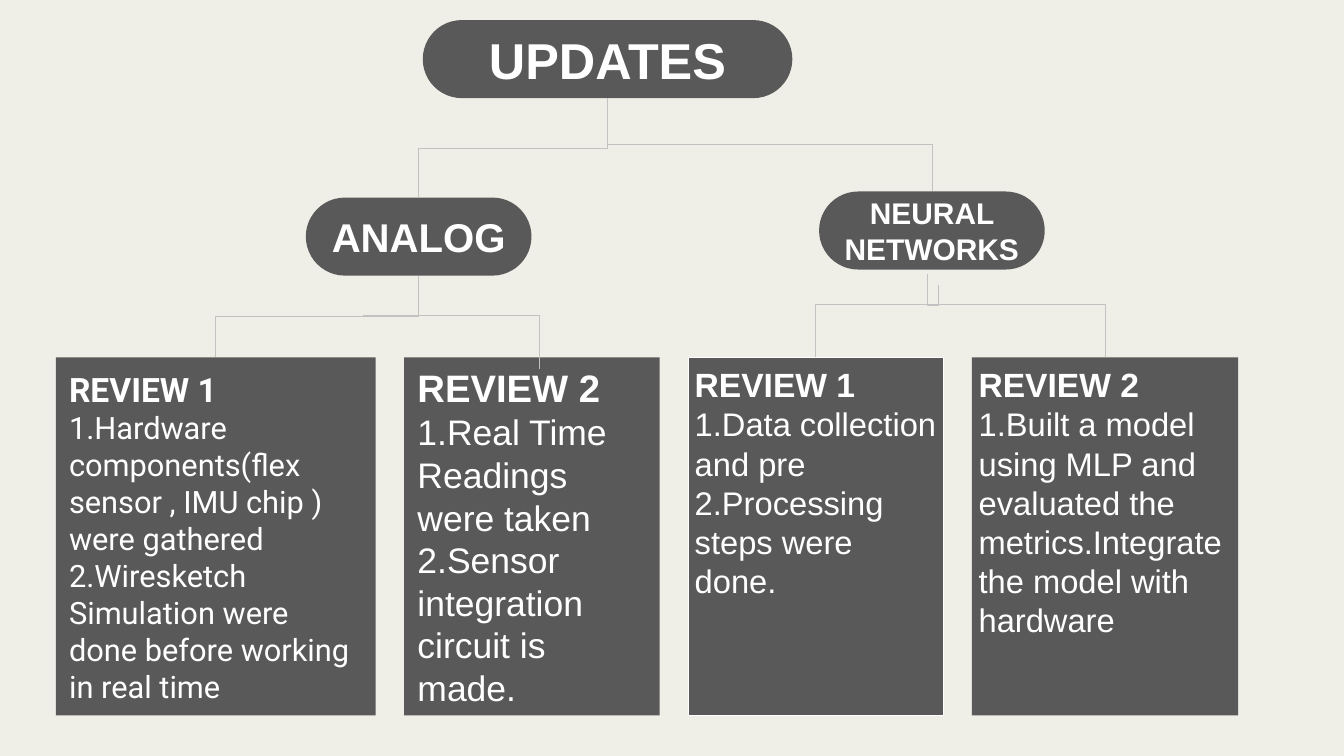
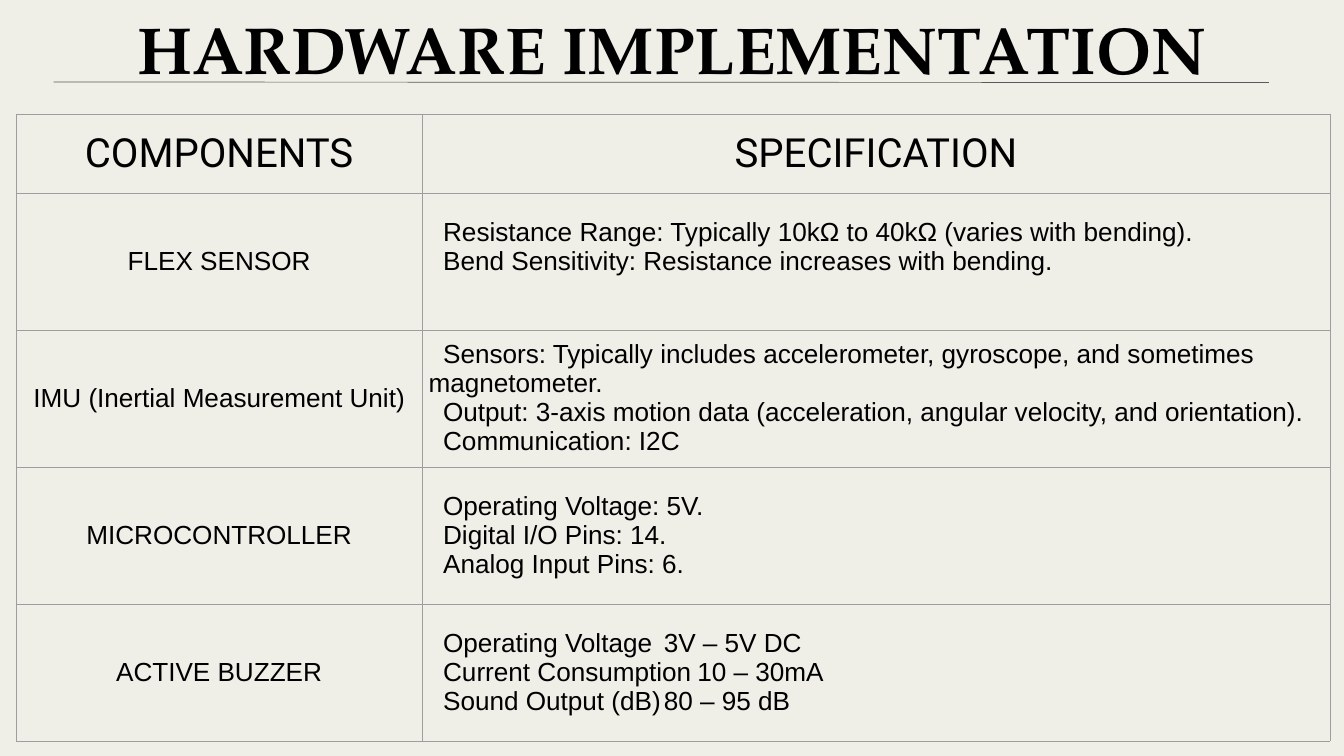
from dataclasses import dataclass

from lxml import etree
from pptx import Presentation
from pptx.dml.color import RGBColor
from pptx.enum.shapes import MSO_CONNECTOR, MSO_SHAPE
from pptx.enum.text import MSO_ANCHOR, PP_ALIGN
from pptx.oxml.ns import qn
from pptx.util import Cm, Pt

RECT, PILL = MSO_SHAPE.RECTANGLE, MSO_SHAPE.ROUNDED_RECTANGLE
ELBOW, STRAIGHT = MSO_CONNECTOR.ELBOW, MSO_CONNECTOR.STRAIGHT
TOP, MIDDLE = MSO_ANCHOR.TOP, MSO_ANCHOR.MIDDLE
LEFT, CENTER = PP_ALIGN.LEFT, PP_ALIGN.CENTER

COLORS = {"bg": "EFEEE7", "dark": "595959", "white": "FFFFFF",
          "black": "000000", "branch": "C2C2C2", "grid": "9E9E9E"}
SANS, ROBOTO, SERIF = "Arial", "Roboto", "TeX Gyre Pagella"
HAIRLINE = Pt(0.75)
LEADING, TABLE_LEADING = 1.2, 1.11
MARGIN = 0.25

PILL_H = 2.95
CARD_X, CARD_Y, CARD_H, CARD_GAP = 2.11, 13.51, 13.54, 1.08
JOIN_Y = 11.51
TABLE_X, TABLE_Y = 0.61, 4.32
COL_WIDTHS = (15.34, 34.32)
HEADER_H, ROW_H = 2.97, 5.18
LINE_INDENT, TAB_STOP, BLANK_LINE = 0.55, 10.16, 1.1


@dataclass
class Node:
    text: str
    x: float
    y: float
    w: float
    size: int

    @property
    def center(self) -> float:
        return self.x + self.w / 2

    @property
    def bottom(self) -> float:
        return self.y + PILL_H


@dataclass
class Card:
    title: str
    lines: tuple[str, ...]
    w: float
    title_size: int
    size: int
    font: str = SANS
    anchor: MSO_ANCHOR = TOP
    inset: float = MARGIN
    outlined: bool = False


@dataclass
class Elbow:
    start: tuple[float, float]
    end: tuple[float, float]
    preset: str = "bentConnector3"
    adj: int = 50000


@dataclass
class Component:
    name: str
    specs: tuple[str, ...]
    extra_bottom: float = 0


UPDATES = Node("UPDATES", 15.98, 0.76, 13.97, 54)
NEURAL = Node("NEURAL NETWORKS", 30.96, 7.24, 8.53, 32)
ANALOG = Node("ANALOG", 11.56, 7.47, 8.53, 43)

CARDS = (
    Card("REVIEW 1",
         ("1.Hardware components(flex sensor , IMU chip ) were gathered",
          "2.Wiresketch Simulation were done before working in real time"),
         12.09, 36, 33, ROBOTO, MIDDLE, 0.5),
    Card("REVIEW 2",
         ("1.Real Time Readings were taken",
          "2.Sensor integration circuit is made."),
         9.65, 41, 38, SANS, MIDDLE, 0.5),
    Card("REVIEW 1",
         ("1.Data collection and pre 2.Processing steps were done.",),
         9.65, 36, 35, outlined=True),
    Card("REVIEW 2",
         ("1.Built a model using MLP and evaluated the metrics.Integrate "
          "the model with hardware",),
         10.06, 36, 35),
)

HEADERS = ("COMPONENTS", "SPECIFICATION")
COMPONENTS = (
    Component("FLEX SENSOR",
              ("Resistance Range: Typically 10kΩ to 40kΩ (varies with bending).",
               "Bend Sensitivity: Resistance increases with bending."),
              BLANK_LINE),
    Component("IMU (Inertial Measurement Unit)",
              ("Sensors: Typically includes accelerometer, gyroscope, and "
               "sometimes magnetometer.",
               "Output: 3-axis motion data (acceleration, angular velocity, "
               "and orientation).",
               "Communication: I2C")),
    Component("MICROCONTROLLER",
              ("Operating Voltage: 5V.", "Digital I/O Pins: 14.",
               "Analog Input Pins: 6.")),
    Component("ACTIVE BUZZER",
              ("Operating Voltage\t3V – 5V DC",
               "Current Consumption\t10 – 30mA",
               "Sound Output (dB)\t80 – 95 dB")),
)


def rgb(name: str) -> RGBColor:
    return RGBColor.from_string(COLORS[name])


def new_slide(prs):
    s = prs.slides.add_slide(prs.slide_layouts[6])
    s.background.fill.solid()
    s.background.fill.fore_color.rgb = rgb("bg")
    return s


def add_line(tf, text: str, size: int, font: str, color: str, bold: bool = False,
             align: PP_ALIGN = LEFT, leading: float = LEADING):
    """Write into the first paragraph while it is empty, then into new ones."""
    p = tf.paragraphs[0] if not tf.paragraphs[0].runs else tf.add_paragraph()
    p.alignment = align
    p.line_spacing = Pt(round(size * leading, 1))
    r = p.add_run()
    r.text = text
    r.font.size, r.font.name, r.font.bold = Pt(size), font, bold
    r.font.color.rgb = rgb(color)
    return p


def frame(tf, inset: float, anchor: MSO_ANCHOR) -> None:
    tf.word_wrap = True
    tf.vertical_anchor = anchor
    tf.margin_left = tf.margin_right = Cm(inset)
    tf.margin_top = tf.margin_bottom = Cm(inset)


def add_block(s, kind, x: float, y: float, w: float, h: float):
    sp = s.shapes.add_shape(kind, Cm(x), Cm(y), Cm(w), Cm(h))
    sp.shadow.inherit = False
    sp.fill.solid()
    sp.fill.fore_color.rgb = rgb("dark")
    sp.line.fill.background()
    return sp


def add_node(s, node: Node) -> None:
    sp = add_block(s, PILL, node.x, node.y, node.w, PILL_H)
    sp.adjustments[0] = 0.5
    frame(sp.text_frame, 0.5, MIDDLE)
    add_line(sp.text_frame, node.text, node.size, SANS, "white", True, CENTER)


def add_card(s, card: Card, x: float) -> None:
    sp = add_block(s, RECT, x, CARD_Y, card.w, CARD_H)
    if card.outlined:
        sp.line.color.rgb = rgb("white")
        sp.line.width = HAIRLINE
    tf = sp.text_frame
    frame(tf, card.inset, card.anchor)
    add_line(tf, card.title, card.title_size, card.font, "white", True)
    for line in card.lines:
        add_line(tf, line, card.size, card.font, "white")


def add_wire(s, kind, x1: float, y1: float, x2: float, y2: float, color: str):
    cxn = s.shapes.add_connector(kind, Cm(x1), Cm(y1), Cm(x2), Cm(y2))
    cxn.line.color.rgb = rgb(color)
    cxn.line.width = HAIRLINE
    etree.SubElement(cxn._element.spPr, qn("a:effectLst"))
    return cxn


def add_elbow(s, elbow: Elbow) -> None:
    """Draw a connector that leaves its start vertically, by a quarter turn."""
    (x1, y1), (x2, y2) = elbow.start, elbow.end
    w, h = abs(y2 - y1), abs(x2 - x1)
    left, top = (x1 + x2 - w) / 2, (y1 + y2 - h) / 2
    cxn = add_wire(s, ELBOW, left, top, left + w, top + h, "branch")
    rightward, downward = x2 > x1, y2 > y1
    xfrm = cxn._element.spPr.find(qn("a:xfrm"))
    xfrm.set("rot", str((270 if rightward else 90) * 60000))
    if rightward == downward:
        xfrm.set("flipH", "1")
    geom = cxn._element.spPr.find(qn("a:prstGeom"))
    geom.set("prst", elbow.preset)
    if elbow.adj != 50000:
        guides = geom.find(qn("a:avLst"))
        if guides is None:
            guides = etree.SubElement(geom, qn("a:avLst"))
        etree.SubElement(guides, qn("a:gd"), name="adj1", fmla=f"val {elbow.adj}")


def style_cell(cell) -> None:
    cell.vertical_anchor = MIDDLE
    cell.margin_left = cell.margin_right = Cm(MARGIN)
    cell.margin_top = cell.margin_bottom = Cm(MARGIN)
    tc_pr = cell._tc.get_or_add_tcPr()
    for side in ("lnL", "lnR", "lnT", "lnB"):
        ln = etree.SubElement(tc_pr, qn(f"a:{side}"), w=str(int(HAIRLINE)))
        fill = etree.SubElement(ln, qn("a:solidFill"))
        etree.SubElement(fill, qn("a:srgbClr"), val=COLORS["grid"])
    cell.fill.background()


def add_spec(tf, text: str) -> None:
    p = add_line(tf, text, 28, SANS, "black", leading=TABLE_LEADING)
    p_pr = p._p.get_or_add_pPr()
    p_pr.set("marL", "0")
    p_pr.set("indent", str(int(Cm(LINE_INDENT))))
    if "\t" in text:
        tabs = etree.SubElement(p_pr, qn("a:tabLst"))
        etree.SubElement(tabs, qn("a:tab"), pos=str(int(Cm(TAB_STOP))), algn="l")


def updates_slide(prs) -> None:
    s = new_slide(prs)
    for node in (UPDATES, NEURAL, ANALOG):
        add_node(s, node)
    x, centers = CARD_X, []
    for card in CARDS:
        add_card(s, card, x)
        centers.append(x + card.w / 2)
        x += card.w + CARD_GAP

    root = (UPDATES.center, UPDATES.bottom)
    elbows = (
        Elbow(root, (NEURAL.center, NEURAL.y)),
        Elbow((ANALOG.center, ANALOG.y), root),
        Elbow((centers[0], CARD_Y), (ANALOG.center, ANALOG.bottom)),
        Elbow((20.4, 13.94), (13.74, 11.94), "bentConnector2"),
        Elbow((centers[2], CARD_Y), (35.26, JOIN_Y), "bentConnector2"),
        Elbow((centers[3], CARD_Y), (35.1, JOIN_Y), "bentConnector2"),
        Elbow((35.48, 10.77), (35.05, 10.34), adj=-176000),
    )
    for elbow in elbows:
        add_elbow(s, elbow)


def hardware_slide(prs) -> None:
    s = new_slide(prs)
    title = s.shapes.add_textbox(Cm(0), Cm(0.05), prs.slide_width, Cm(3.4))
    frame(title.text_frame, MARGIN, TOP)
    add_line(title.text_frame, "HARDWARE IMPLEMENTATION", 71, SERIF, "black",
             True, CENTER)
    add_wire(s, STRAIGHT, 2.03, 3.1, 47.96, 3.12, "dark")

    heights = [HEADER_H] + [ROW_H] * len(COMPONENTS)
    table = s.shapes.add_table(len(heights), len(COL_WIDTHS), Cm(TABLE_X),
                               Cm(TABLE_Y), Cm(sum(COL_WIDTHS)),
                               Cm(sum(heights))).table
    table.first_row = table.horz_banding = False
    for column, width in zip(table.columns, COL_WIDTHS):
        column.width = Cm(width)
    for row, height in zip(table.rows, heights):
        row.height = Cm(height)
    for cell in table.iter_cells():
        style_cell(cell)
    for i, header in enumerate(HEADERS):
        add_line(table.cell(0, i).text_frame, header, 43, ROBOTO, "black",
                 align=CENTER)
    for i, part in enumerate(COMPONENTS, start=1):
        add_line(table.cell(i, 0).text_frame, part.name, 28, SANS, "black",
                 align=CENTER, leading=TABLE_LEADING)
        cell = table.cell(i, 1)
        cell.margin_bottom = Cm(MARGIN + part.extra_bottom)
        for spec_line in part.specs:
            add_spec(cell.text_frame, spec_line)


def main() -> None:
    prs = Presentation()
    prs.slide_width, prs.slide_height = Cm(50.8), Cm(28.58)
    updates_slide(prs)
    hardware_slide(prs)
    prs.save("out.pptx")


if __name__ == "__main__":
    main()
